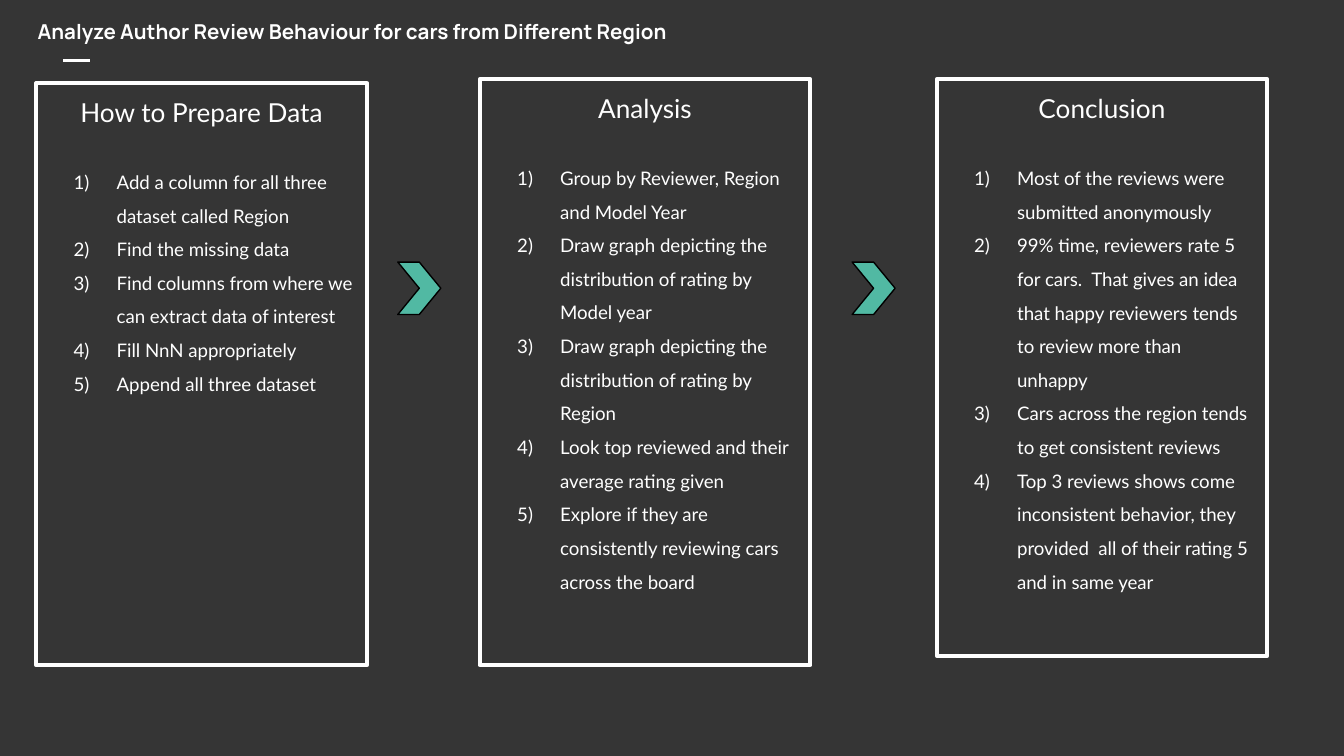
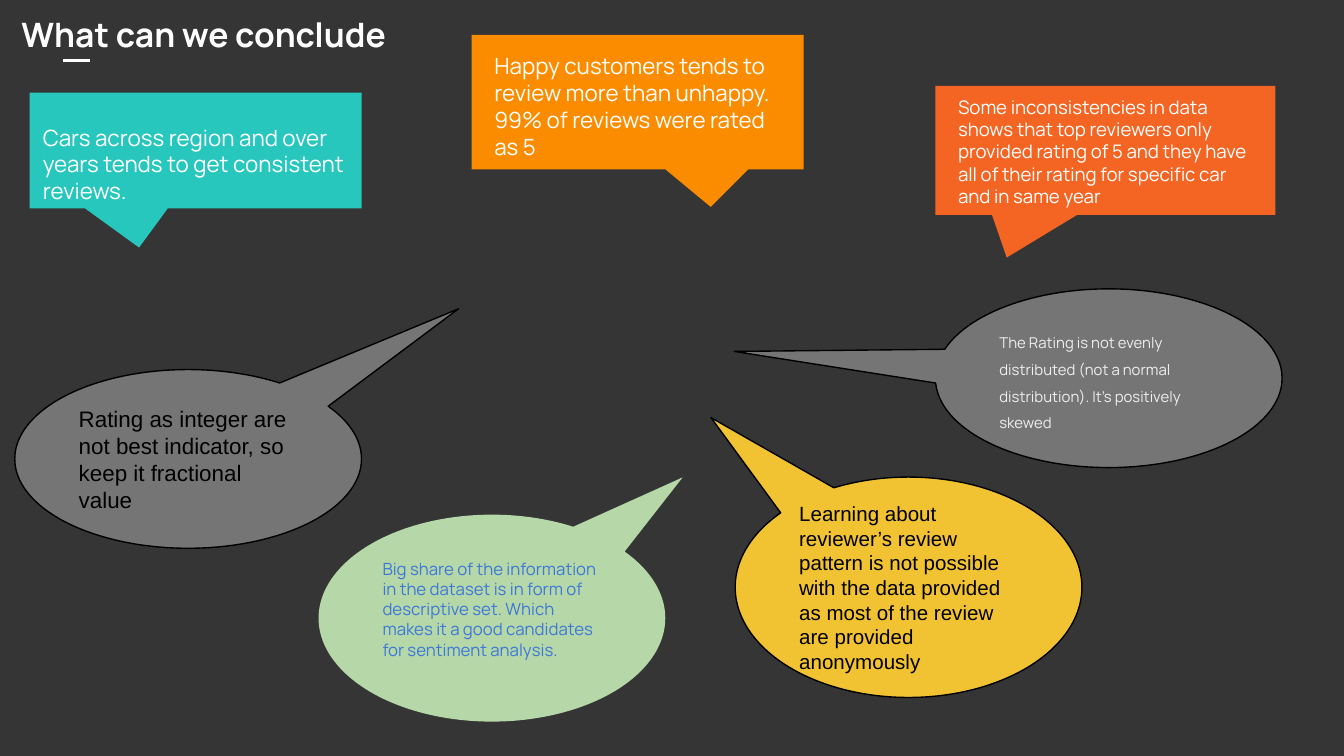
import pptx
import pptx.util
import pptx.dml.color
import pptx.enum.dml
import pptx.enum.shapes
import pptx.enum.text
import pptx.oxml
import pptx.oxml.ns

SHAPE = pptx.enum.shapes.MSO_SHAPE
ANCHOR = pptx.enum.text.MSO_ANCHOR
ALIGN = pptx.enum.text.PP_ALIGN
WHITE, BLACK, DARK, GREY = "FFFFFF", "000000", "353535", "757575"
TITLE_ONLY = 5
COLUMNS, ROWS = 100, 56.25


def colour(value):
    return pptx.dml.color.RGBColor.from_string(value)


def set_format(target, values):
    for name, value in values.items():
        setattr(target, name, value)


class Board:
    """Dark slides on a grid of 100 columns by 56.25 rows."""

    def __init__(self):
        self.deck = pptx.Presentation()
        self.deck.slide_width = pptx.util.Inches(10)
        self.deck.slide_height = pptx.util.Inches(5.625)
        background = self.deck.slide_master.background.fill
        background.solid()
        background.fore_color.rgb = colour(DARK)
        self.page = None

    def x(self, columns):
        return round(self.deck.slide_width * columns / COLUMNS)

    def y(self, rows):
        return round(self.deck.slide_height * rows / ROWS)

    def area(self, left, top, width, height):
        return self.x(left), self.y(top), self.x(width), self.y(height)

    def add_page(self, title, place, size, anchor):
        self.page = self.deck.slides.add_slide(self.deck.slide_layouts[TITLE_ONLY])
        accent = self.page.shapes.add_connector(
            pptx.enum.shapes.MSO_CONNECTOR.STRAIGHT,
            self.x(4.7), self.y(4.5), self.x(6.7), self.y(4.5))
        self.outline(accent, WHITE, 1.5)
        accent._element.spPr.append(pptx.oxml.parse_xml(
            f"<a:effectLst {pptx.oxml.ns.nsdecls('a')}/>"))
        heading = self.page.shapes.title
        set_format(heading, dict(zip(("left", "top", "width", "height"),
                                     self.area(*place))))
        self.frame(heading, anchor)
        self.add_text(heading.text_frame.paragraphs[0], title, size, bold=True)

    def outline(self, item, line, width):
        if line:
            item.line.color.rgb = colour(line)
            item.line.width = pptx.util.Pt(width)
        else:
            item.line.fill.background()

    def shape(self, kind, place, fill=None, line=None, width=0.75, adjust=()):
        item = self.page.shapes.add_shape(kind, *self.area(*place))
        item.shadow.inherit = False
        if fill:
            item.fill.solid()
            item.fill.fore_color.rgb = colour(fill)
        else:
            item.fill.background()
        self.outline(item, line, width)
        for index, value in enumerate(adjust):
            item.adjustments[index] = value
        return item

    def frame(self, item, anchor=ANCHOR.TOP):
        inset = pptx.util.Inches(0.1)
        set_format(item.text_frame, {
            "word_wrap": True, "auto_size": pptx.enum.text.MSO_AUTO_SIZE.NONE,
            "vertical_anchor": anchor, "margin_left": inset, "margin_right": inset,
            "margin_top": inset, "margin_bottom": inset})

    def add_text(self, para, text, size, font="Manrope", ink=WHITE, bold=False,
                 align=ALIGN.LEFT, **spacing):
        set_format(para, {"alignment": align, **spacing})
        span = para.add_run()
        span.text = text
        set_format(span.font, {"name": font, "size": pptx.util.Pt(size), "bold": bold})
        span.font.color.rgb = colour(ink)

    def number(self, para):
        properties = para._p.get_or_add_pPr()
        properties.set("marL", str(pptx.util.Inches(0.5)))
        properties.set("indent", str(pptx.util.Inches(-0.32)))
        names = pptx.oxml.ns.nsdecls("a")
        for xml in (f'<a:buClr {names}><a:srgbClr val="{WHITE}"/></a:buClr>',
                    f'<a:buAutoNum {names} type="arabicParenR"/>'):
            properties.append(pptx.oxml.parse_xml(xml))

    def panel(self, place, heading, items):
        box = self.shape(SHAPE.RECTANGLE, place, line=WHITE, width=2.25)
        self.frame(box)
        self.add_text(box.text_frame.paragraphs[0], heading, 14, "Lato",
                      align=ALIGN.CENTER, space_after=pptx.util.Pt(16.8))
        for text in items:
            para = box.text_frame.add_paragraph()
            self.add_text(para, text, 10, "Lato", line_spacing=1.5)
            self.number(para)

    def label(self, place, text, size):
        box = self.page.shapes.add_textbox(*self.area(*place))
        self.frame(box)
        self.add_text(box.text_frame.paragraphs[0], text, size)

    def bubble(self, place, tail, fill, line, text, anchor=ANCHOR.MIDDLE, **style):
        box = self.shape(SHAPE.OVAL_CALLOUT, place, fill, line, adjust=tail)
        self.frame(box, anchor)
        self.add_text(box.text_frame.paragraphs[0], text, **style)


def review_steps(board):
    board.add_page("Analyze Author Review Behaviour for cars from Different Region",
                   (1.8, 0.4, 68.3, 3.9), 11, ANCHOR.MIDDLE)

    # Three numbered panels
    panels = [
        ((2.7, 6.2, 24.6, 43.3), "How to Prepare Data", [
            "Add a column for all three dataset called Region",
            "Find the missing data",
            "Find columns from where we can extract data of interest",
            "Fill NnN appropriately",
            "Append all three dataset"]),
        ((35.7, 5.9, 24.6, 43.6), "Analysis", [
            "Group by Reviewer, Region and Model Year",
            "Draw graph depicting the distribution of rating by Model year",
            "Draw graph depicting the distribution of rating by Region",
            "Look top reviewed and their average rating given",
            "Explore if they are consistently reviewing cars across the board"]),
        ((69.7, 5.9, 24.6, 42.9), "Conclusion", [
            "Most of the reviews were submitted anonymously",
            "99% time, reviewers rate 5 for cars.  That gives an idea that happy "
            "reviewers tends to review more than unhappy",
            "Cars across the region tends to get consistent reviews",
            "Top 3 reviews shows come inconsistent behavior, they provided  all of "
            "their rating 5 and in same year"]),
    ]
    for place, heading, items in panels:
        board.panel(place, heading, items)

    # Chevrons between the panels
    for left in (29.6, 63.4):
        board.shape(SHAPE.CHEVRON, (left, 19.5, 3.2, 3.9), "51B9A3", BLACK, adjust=[0.5])


def conclusions(board):
    board.add_page("What can we conclude", (0.6, 0, 94.3, 5.8), 18, ANCHOR.TOP)

    # Main findings: callout, tail, fill, then the text over it
    findings = [
        ((2.2, 6.9, 24.7, 8.6), (-0.17, 0.84), "27C7BD", (2.2, 8.2, 27.1, 9.2), 12,
         "Cars across region and over years tends to get consistent reviews."),
        ((35.1, 2.6, 24.7, 10), (0.22, 0.78), "FB8C00", (35.8, 2.9, 23.3, 8.9), 12,
         "Happy customers tends to review more than unhappy. "
         "99% of reviews were rated as 5"),
        ((69.6, 6.4, 25.3, 9.6), (-0.29, 0.83), "F46524", (70.3, 6.1, 23.9, 8.6), 10,
         "Some inconsistencies in data shows that top reviewers only provided rating "
         "of 5 and they have all of their rating for specific car and in same year"),
    ]
    for place, tail, fill, text_place, size, text in findings:
        board.shape(SHAPE.RECTANGULAR_CALLOUT, place, fill, adjust=tail)
        board.label(text_place, text, size)

    # Remarks in speech bubbles
    board.bubble((54.7, 35.5, 25.8, 16.4), (-0.57, -0.77), "F1C232", BLACK,
                 "Learning about reviewer’s review pattern is not possible with the "
                 "data provided as most of the review are provided anonymously",
                 size=11, font="Arial", ink=BLACK)
    board.bubble((1.1, 27.5, 25.8, 13.3), (0.78, -0.84), GREY, BLACK,
                 "Rating as integer are not best indicator, so keep it fractional value",
                 size=12, font="Arial", ink=BLACK)
    board.bubble((23.7, 38.3, 25.8, 15.4), (0.55, -0.68), "B6D7A8", None,
                 "Big share of the information in the dataset is in form of descriptive "
                 "set. Which makes it a good candidates for sentiment analysis.",
                 ANCHOR.TOP, size=9, ink="3C78D8")
    board.bubble((69.6, 21.5, 25.8, 13.3), (-1.08, -0.15), GREY, BLACK,
                 "The Rating is not evenly distributed (not a normal distribution). "
                 "It's positively skewed",
                 size=8, ink="EFEFEF", line_spacing=1.5)


def main():
    board = Board()
    review_steps(board)
    conclusions(board)
    board.deck.save("out.pptx")


if __name__ == "__main__":
    main()
